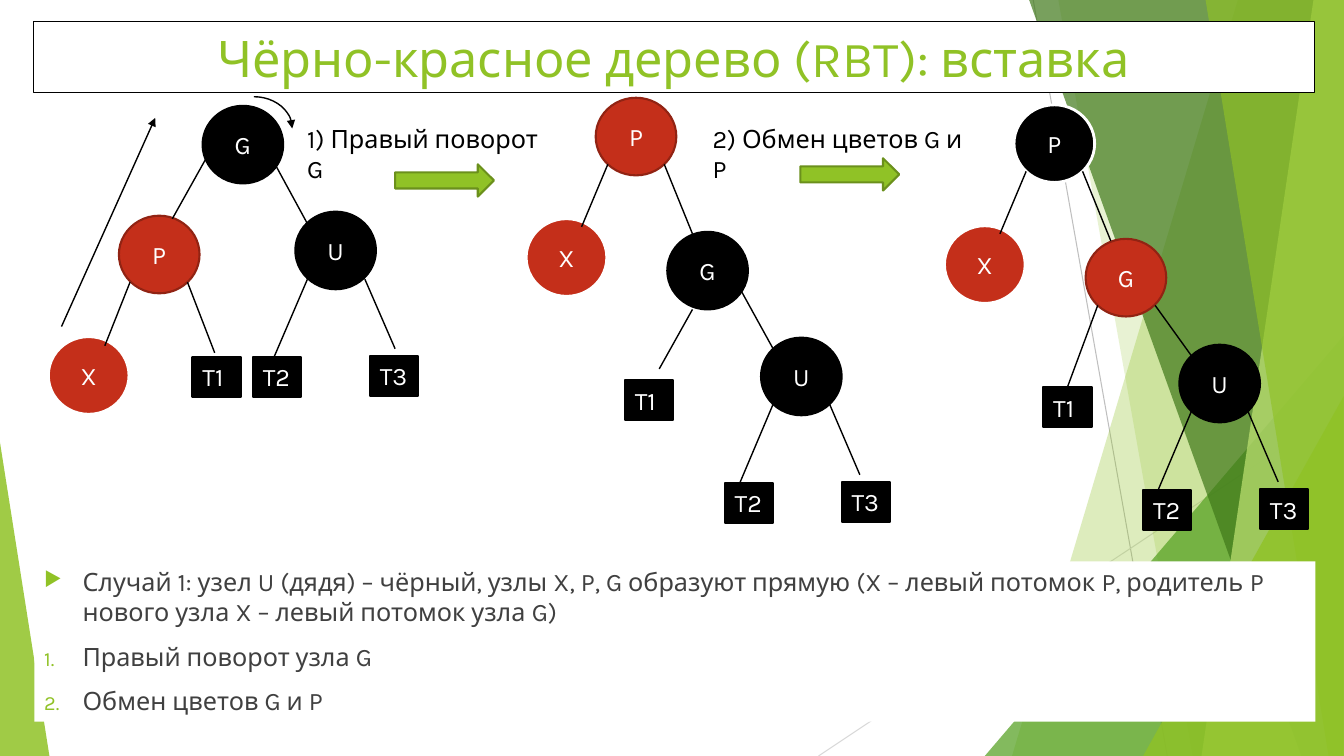
from lxml.etree import SubElement
from pptx import Presentation
from pptx.dml.color import RGBColor
from pptx.enum.shapes import MSO_CONNECTOR, MSO_SHAPE as SHAPE
from pptx.enum.text import MSO_ANCHOR as ANCHOR, MSO_AUTO_SIZE, PP_ALIGN as ALIGN
from pptx.oxml.ns import qn
from pptx.util import Inches, Pt

CELL = Inches(0.1)  # the slide is a grid of COLS by ROWS square cells
COLS, ROWS = 133.33, 75
FONT = "Karla"
C = {"black": "000000", "white": "FFFFFF", "red": "C42F1A", "dark_red": "912313",
     "lime": "90C226", "dark_lime": "6B901C", "green": "54A021",
     "dark_green": "3F7819", "pale_lime": "C0E474", "text": "404040",
     "gray": "BFBFBF", "light_gray": "D9D9D9"}

prs = Presentation()
prs.slide_width, prs.slide_height = int(COLS * CELL), ROWS * CELL
s = prs.slides.add_slide(prs.slide_layouts[6])


def add_box(kind, box, fill=None, line=None, width=1, lines=(), size=18,
            color="white", align=ALIGN.LEFT, anchor=ANCHOR.TOP):
    """Add a preset shape at a box of grid cells, with its paragraphs."""
    sp = s.shapes.add_shape(kind, *(int(v * CELL) for v in box))
    sp.shadow.inherit = False
    if fill:
        sp.fill.solid()
        sp.fill.fore_color.rgb = RGBColor.from_string(C[fill])
    else:
        sp.fill.background()
    if line:
        sp.line.color.rgb = RGBColor.from_string(C[line])
        sp.line.width = Pt(width)
    else:
        sp.line.fill.background()
    tf = sp.text_frame
    tf.word_wrap = True
    tf.vertical_anchor = anchor
    tf.text = "\n".join(lines)
    for p in tf.paragraphs:
        p.alignment = align
        for r in p.runs:
            r.font.name, r.font.size = FONT, Pt(size)
            r.font.color.rgb = RGBColor.from_string(C[color])
    return sp


def add_line(x1, y1, x2, y2, color="black", width=1):
    """Add a straight line between two grid points."""
    ln = s.shapes.add_connector(MSO_CONNECTOR.STRAIGHT,
                                *(int(v * CELL) for v in (x1, y1, x2, y2)))
    ln.line.color.rgb = RGBColor.from_string(C[color])
    ln.line.width = Pt(width)
    SubElement(ln._element.spPr, qn("a:effectLst"))
    return ln


# Backdrop: thin lines, then bands (top and bottom left corners, reaching the
# right edge) and triangles (box and peak position)
add_line(102.5, 0, 115.8, ROWS, "gray", 0.75)
add_line(COLS, 40.3, 81.2, ROWS, "light_gray", 0.75)
backdrop = [
    ("lime", 30, (122.8, 100.4)),
    ("lime", 20, (105, 118.3)),
    ("green", 72, (97.7, 33.3, 35.6, 41.7, 1)),
    ("dark_green", 70, (102.1, 129.1)),
    ("pale_lime", 70, (130.3, 119.2)),
    ("lime", 65, (119.6, 131.8)),
    ("lime", 80, (113.4, 39.3, 19.9, 35.7, 1)),
    ("lime", 85, (0, 43.9, 4.9, 31.1, 0)),
]
for color, opacity, geometry in backdrop:
    if len(geometry) == 2:
        top, bottom = geometry
        corners = [(int(x * CELL), int(y * CELL)) for x, y in
                   ((top, 0), (COLS, 0), (COLS, ROWS), (bottom, ROWS))]
        outline = s.shapes.build_freeform(*corners[0])
        outline.add_line_segments(corners[1:])
        sp = outline.convert_to_shape()
        sp.shadow.inherit = False
        sp.line.fill.background()
        sp.fill.solid()
        sp.fill.fore_color.rgb = RGBColor.from_string(C[color])
    else:
        sp = add_box(SHAPE.ISOSCELES_TRIANGLE, geometry[:4], color)
        sp.adjustments[0] = geometry[4]
    srgb = sp._element.spPr.find(qn("a:solidFill"))[0]
    SubElement(srgb, qn("a:alpha"), val=str(opacity * 1000))

# Description with one arrow bullet and two numbered steps
body = add_box(SHAPE.RECTANGLE, (3.4, 55.7, 127.1, 15.9), "white", color="text", lines=[
    "Случай 1: узел U (дядя) – чёрный, узлы X, P, G образуют прямую "
    "(X – левый потомок P, родитель P нового узла X – левый потомок узла G)",
    "Правый поворот узла G",
    "Обмен цветов G и P"])
for i, p in enumerate(body.text_frame.paragraphs):
    p.space_before = Pt(10 if i else 0)
    pPr = p._p.get_or_add_pPr()
    pPr.set("marL", str(Inches(0.38)))
    pPr.set("indent", str(-Inches(0.38)))
    SubElement(SubElement(pPr, qn("a:buClr")), qn("a:srgbClr"), val=C["lime"])
    SubElement(pPr, qn("a:buSzPct"), val="80000")
    if i:
        SubElement(pPr, qn("a:buAutoNum"), type="arabicPeriod")
    else:
        SubElement(pPr, qn("a:buChar"), char="▶")

add_box(SHAPE.RECTANGLE, (3.3, 2.1, 127.1, 7.1), "white", "black", 0.75,
        ["Чёрно-красное дерево (RBT): вставка"], 36, "lime", ALIGN.CENTER, ANCHOR.MIDDLE)

# Trees: shift, nodes (name, style, left, top), edges, subtrees (name, left, top)
styles = {"black": ("black", "black", 1.5), "red": ("red", "dark_red", 1.5),
          "new": ("red", "white", 2), "root": ("black", "white", 2)}
rotated_places = {"G": (66.2, 23), "P": (59.1, 9.7), "U": (75.5, 33.5), "X": (52.2, 21.7)}
rotated_edges = [(57.7, 22.5, 60.3, 16.3), (65.9, 16.3, 68.7, 23.2),
                 (76.7, 40.1, 73.4, 47.9), (82.3, 40.1, 85.3, 47.1)]
rotated_subtrees = [("T1", 62, 37.7), ("T2", 71.9, 47.9), ("T3", 83.5, 47.8)]
trees = [
    ((0, 0),
     {"G": (20.1, 10.5), "P": (11.8, 21.4), "U": (29.3, 21), "X": (4.8, 33.4)},
     {"G": "black", "P": "red", "U": "black", "X": "new"},
     [(17.1, 21.7, 20.4, 15.8), (30.5, 22.2, 26.8, 15.4), (10.4, 34.3, 12.9, 28),
      (18.6, 28, 21.3, 35), (30.5, 27.7, 27.2, 35.4), (36.2, 27.7, 39.2, 34.6)],
     [("T1", 19.1, 35.4), ("T2", 25.1, 35.4), ("T3", 36.7, 35.3)]),
    ((0, 0), rotated_places,
     {"G": "black", "P": "red", "U": "black", "X": "new"},
     rotated_edges + [(65.4, 36.6, 68.7, 30.7), (76.7, 34.6, 73, 27.9)],
     rotated_subtrees),
    ((41.5, 0.7), rotated_places,
     {"G": "red", "P": "root", "U": "black", "X": "new"},
     rotated_edges + [(64.4, 37.7, 67.4, 29.6), (76.7, 34.6, 73.1, 29.6)],
     rotated_subtrees),
]
for (dx, dy), places, looks, edges, subtrees in trees:
    for name, (x, y) in places.items():
        add_box(SHAPE.OVAL, (x + dx, y + dy, 8, 7.7), *styles[looks[name]],
                lines=[name], align=ALIGN.CENTER, anchor=ANCHOR.MIDDLE)
    for x1, y1, x2, y2 in edges:
        add_line(x1 + dx, y1 + dy, x2 + dx, y2 + dy)
    for name, x, y in subtrees:
        sp = add_box(SHAPE.RECTANGLE, (x + dx, y + dy, 4.8, 4), *styles["black"], lines=[name])
        sp.text_frame.word_wrap = False
        sp.text_frame.auto_size = MSO_AUTO_SIZE.SHAPE_TO_FIT_TEXT

# Direction of the straight chain and of the rotation
chain = add_line(6.1, 32.4, 15.4, 11.7)
turn = add_box(SHAPE.ARC, (21.4, 9.6, 7.6, 6.3), line="black")
for sp in (chain, turn):
    SubElement(sp.line._get_or_add_ln(), qn("a:tailEnd"), type="triangle")

# Steps between the trees
steps = [("1) Правый поворот G", 29.5, 27, 39.2, 16.3),
         ("2) Обмен цветов G и P", 69.7, 28.1, 79.4, 15.7)]
for label, x, width, arrow_x, arrow_y in steps:
    add_box(SHAPE.RIGHT_ARROW, (arrow_x, arrow_y, 9.8, 3.2), "lime", "dark_lime", 1.5)
    tb = s.shapes.add_textbox(*(int(v * CELL) for v in (x, 11.7, width, 4)))
    tb.text_frame.word_wrap = True
    tb.text_frame.text = label
    r = tb.text_frame.paragraphs[0].runs[0]
    r.font.name, r.font.size = FONT, Pt(18)
    r.font.color.rgb = RGBColor.from_string(C["black"])

prs.save("out.pptx")
